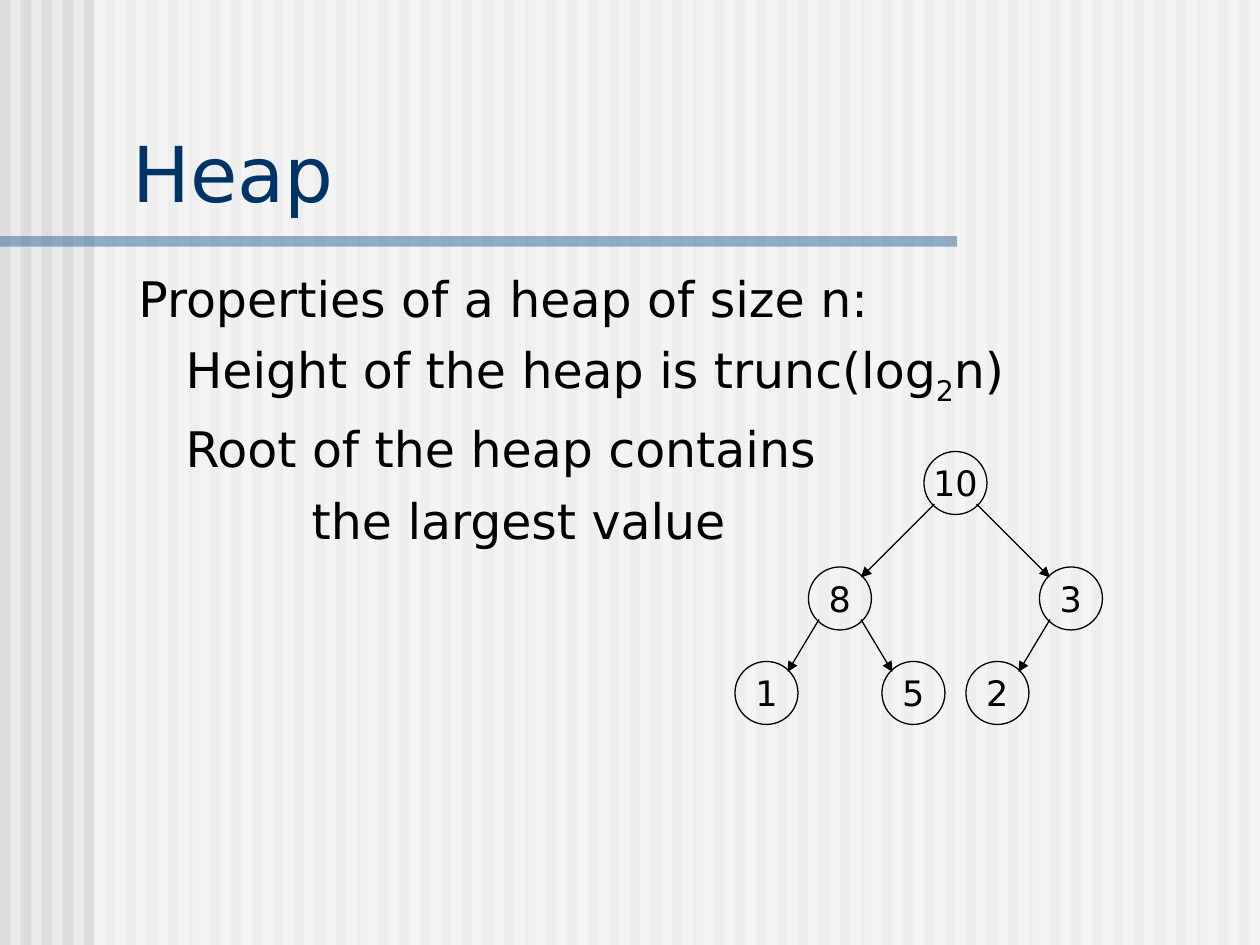
import pptx
import pptx.dml.color
import pptx.enum.shapes
import pptx.enum.text
import pptx.oxml
import pptx.oxml.ns
import pptx.util

Pt = pptx.util.Pt
RECTANGLE = pptx.enum.shapes.MSO_SHAPE.RECTANGLE
ANCHOR = pptx.enum.text.MSO_ANCHOR
DRAWING_NS = pptx.oxml.ns.nsdecls("a")


def color(hex_string):
    return pptx.dml.color.RGBColor.from_string(hex_string)


def add_text(paragraph, text, size, hex_string):
    run = paragraph.add_run()
    run.text = text
    for name, value in {"name": "DejaVu Sans", "size": Pt(size)}.items():
        setattr(run.font, name, value)
    run.font.color.rgb = color(hex_string)
    return run


presentation = pptx.Presentation()
presentation.slide_width, presentation.slide_height = Pt(720), Pt(540)
slide = presentation.slides.add_slide(presentation.slide_layouts[6])
shapes = slide.shapes
slide.background.fill.solid()
slide.background.fill.fore_color.rgb = color("EAEAEA")

# Backdrop: 60 stripes, a translucent veil and the rule under the title
bands = [(12 * i, 0, 6, 540, "DDDDDD", 100) for i in range(60)]
bands += [(54, 0, 666, 540, "FFFFFF", 50), (0, 135, 547, 6, "336699", 50)]
for left, top, width, height, fill, opacity in bands:
    band = shapes.add_shape(RECTANGLE, Pt(left), Pt(top), Pt(width), Pt(height))
    band.shadow.inherit = False
    band.line.fill.background()
    band.fill.solid()
    band.fill.fore_color.rgb = color(fill)
    if opacity < 100:
        rgb = band.fill._xPr.find(".//" + pptx.oxml.ns.qn("a:srgbClr"))
        rgb.append(pptx.oxml.parse_xml(f'<a:alpha {DRAWING_NS} val="{opacity * 1000}"/>'))

# Title
title = shapes.add_textbox(Pt(68.5), Pt(67.5), Pt(643), Pt(60.5)).text_frame
for name, value in {"word_wrap": True, "vertical_anchor": ANCHOR.BOTTOM}.items():
    setattr(title, name, value)
add_text(title.paragraphs[0], "Heap", 44, "003366")

# Properties: left indent and runs, where True marks a subscript
properties = [
    (0, [("Properties of a heap of size n:", False)]),
    (27, [("Height of the heap is trunc(log", False), ("2", True), ("n)", False)]),
    (27, [("Root of the heap contains", False)]),
    (99, [("the largest value", False)]),
]
body = shapes.add_textbox(Pt(72), Pt(150), Pt(639), Pt(330)).text_frame
body.word_wrap = True
for i, (indent, pieces) in enumerate(properties):
    paragraph = body.add_paragraph() if i else body.paragraphs[0]
    paragraph._p.get_or_add_pPr().set("marL", str(Pt(indent)))
    if i:
        paragraph.space_before = Pt(7)
    for text, subscript in pieces:
        run = add_text(paragraph, text, 28, "000000")
        if subscript:
            run.font._element.set("baseline", "-25000")

# Heap nodes: centre of each value
diameter = 36
nodes = {"10": (546, 276), "8": (480, 342), "3": (612, 342),
         "1": (438, 396), "5": (522, 396), "2": (570, 396)}
for value, (x, y) in nodes.items():
    node = shapes.add_shape(pptx.enum.shapes.MSO_SHAPE.OVAL, Pt(x - diameter / 2),
                            Pt(y - diameter / 2), Pt(diameter), Pt(diameter))
    node.shadow.inherit = False
    node.fill.background()
    node.line.color.rgb = color("000000")
    node.line.width = Pt(0.75)
    for name, setting in {"word_wrap": False, "vertical_anchor": ANCHOR.MIDDLE}.items():
        setattr(node.text_frame, name, setting)
    label = node.text_frame.paragraphs[0]
    label.alignment = pptx.enum.text.PP_ALIGN.CENTER
    add_text(label, value, 20, "000000")

# Arrows from parent to child, between the diagonals of the circles
reach = 12
for parent, child in [("10", "8"), ("10", "3"), ("8", "1"), ("8", "5"), ("3", "2")]:
    (x1, y1), (x2, y2) = nodes[parent], nodes[child]
    side = reach if x2 > x1 else -reach
    edge = shapes.add_connector(pptx.enum.shapes.MSO_CONNECTOR.STRAIGHT,
                                Pt(x1 + side), Pt(y1 + reach), Pt(x2 - side), Pt(y2 - reach))
    edge.line.color.rgb = color("000000")
    edge.line.width = Pt(0.75)
    edge.line._get_or_add_ln().append(
        pptx.oxml.parse_xml(f'<a:tailEnd {DRAWING_NS} type="triangle"/>'))
    edge._element.spPr.append(pptx.oxml.parse_xml(f"<a:effectLst {DRAWING_NS}/>"))

presentation.save("out.pptx")
